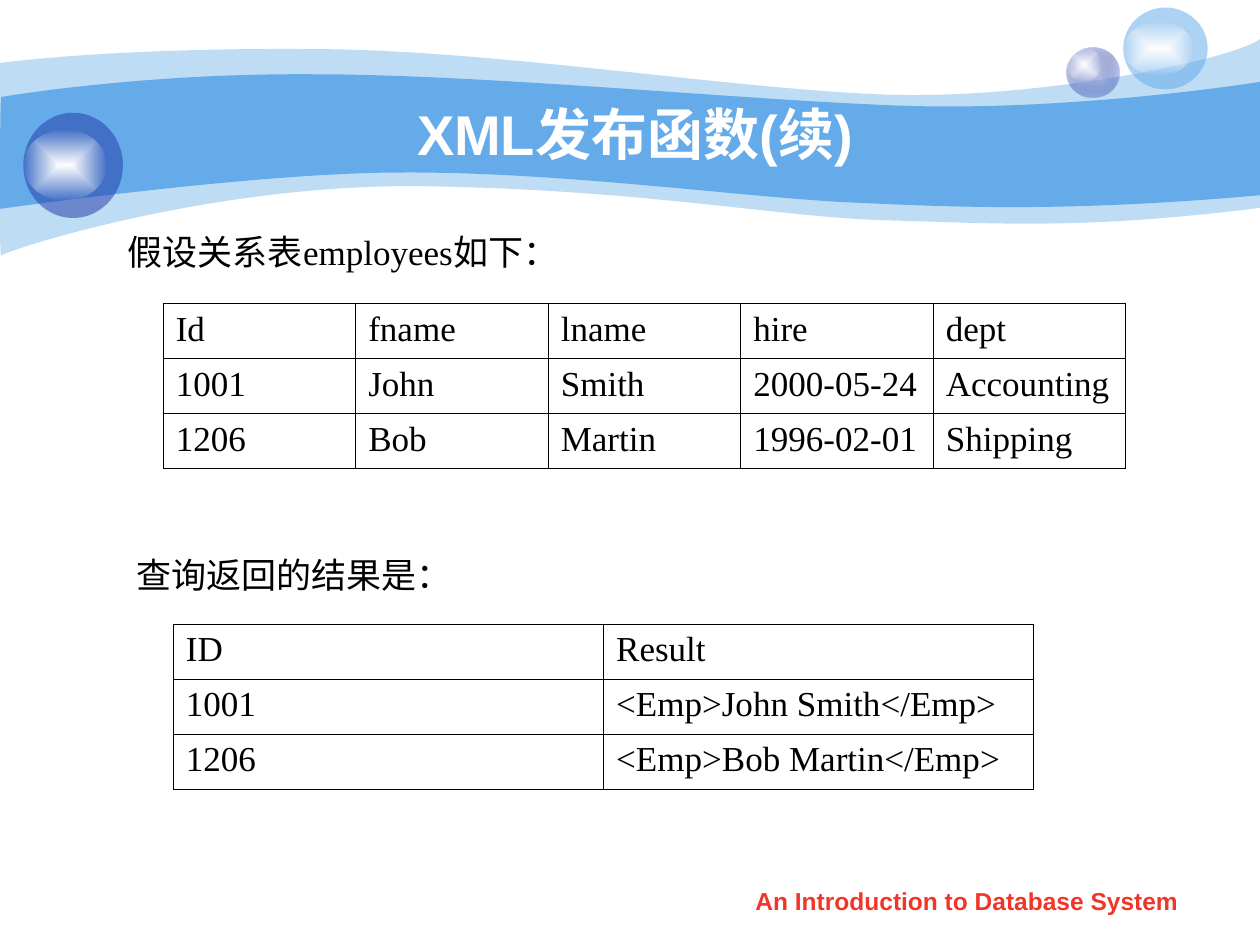
"""Build a slide on XML publishing functions with two query tables."""
from lxml.etree import SubElement
from pptx import Presentation
from pptx.dml.color import RGBColor
from pptx.enum.shapes import MSO_SHAPE
from pptx.enum.text import MSO_ANCHOR as Anchor, MSO_AUTO_SIZE as AutoSize, PP_ALIGN as Align
from pptx.oxml.ns import qn
from pptx.util import Inches, Pt

WHITE = RGBColor(0xFF, 0xFF, 0xFF)
CLEAR_WHITE = RGBColor(0xFE, 0xFE, 0xFE)
BLACK = RGBColor(0x00, 0x00, 0x00)
SKY = RGBColor(0x65, 0xAA, 0xE9)
NAVY = RGBColor(0x23, 0x3D, 0xA9)
LAVENDER = RGBColor(0xC6, 0xCC, 0xE8)
RED = RGBColor(0xF0, 0x36, 0x28)

presentation = Presentation()
presentation.slide_width, presentation.slide_height = Inches(10), Inches(7.5)
column = presentation.slide_width / 100
row = presentation.slide_height / 75
slide = presentation.slides.add_slide(presentation.slide_layouts[5])


def box(left, top, width, height):
    return int(left * column), int(top * row), int(width * column), int(height * row)


def paint(shape, color, opacity, center=None):
    shape.shadow.inherit = False
    shape.line.fill.background()
    if center is None:
        shape.fill.solid()
        shape.fill.fore_color.rgb = color
    else:
        shape.fill.gradient()
        for stop, stop_color in zip(shape.fill.gradient_stops, (center, color)):
            stop.color.rgb = stop_color
        gradient = shape.element.spPr.find(qn("a:gradFill"))
        gradient.remove(gradient.find(qn("a:lin")))
        focus = SubElement(gradient, qn("a:path"), {"path": "rect"})
        SubElement(focus, qn("a:fillToRect"), dict.fromkeys("ltrb", "50000"))
    if opacity < 100:
        outer_color = list(shape.element.spPr.iter(qn("a:srgbClr")))[-1]
        SubElement(outer_color, qn("a:alpha"), {"val": str(opacity * 1000)})


BANDS = [
    (41, (0, 5), [
        [(2.4, 4.7), (10.7, 3.8), (24.7, 3.9)],
        [(38.6, 3.9), (57.5, 7), (69.9, 7.5)],
        [(82.2, 8), (98, 4.7), (100, 3.1)],
        [(100, 16.5)],
        [(85.8, 18.3), (78.7, 17.7), (70.5, 17.5)],
        [(62.2, 17.3), (51.5, 15.1), (34.3, 14.8)],
        [(17.2, 14.4), (0.4, 19.9), (0.1, 20.3)],
        [(-0.1, 20.8), (0, 7.5), (0, 5)],
    ]),
    (100, (0.1, 7.7), [
        [(0.2, 7.7), (11, 5.8), (24.8, 5.9)],
        [(38.6, 5.9), (59.5, 8), (71.8, 8.4)],
        [(84.1, 8.8), (97.6, 6.9), (100, 6.5)],
        [(100, 15.5)],
        [(85.3, 16.8), (76.5, 16.5), (68.2, 16.1)],
        [(59.9, 15.8), (44.7, 13.6), (31.7, 13.7)],
        [(20.3, 13.7), (-0.2, 16.6), (-0.1, 16.6)],
        [(0, 16.6), (0, 7.7), (0.1, 7.7)],
    ]),
]
for opacity, start, segments in BANDS:
    points = [(x * column, y * row) for x, y in [start, *sum(segments, [])]]
    builder = slide.shapes.build_freeform(*points[0])
    builder.add_line_segments(points[1:], close=True)
    band = builder.convert_to_shape()
    lines = iter(list(band.element.spPr.iter(qn("a:lnTo"))))
    for segment in segments:
        first = next(lines)
        if len(segment) == 3:
            curve = first.makeelement(qn("a:cubicBezTo"))
            first.addprevious(curve)
            for line in (first, next(lines), next(lines)):
                curve.append(line[0])
                line.getparent().remove(line)
    paint(band, SKY, opacity)

BUBBLES = [
    [((84.65, 3.75, 4.2, 4), NAVY, 31, LAVENDER),
     ((84.65, 3.75, 2.8, 2.7), CLEAR_WHITE, 0, WHITE)],
    [((89.15, 0.6, 6.7, 6.5), SKY, 53, None),
     ((89.15, 1.7, 5.6, 4.3), CLEAR_WHITE, 0, WHITE)],
    [((1.85, 8.95, 7.9, 8.35), NAVY, 53, None),
     ((1.85, 10.3, 6.6, 5.6), CLEAR_WHITE, 0, WHITE)],
]
for ovals in BUBBLES:
    bubble = slide.shapes.add_group_shape()
    for area, color, opacity, center in ovals:
        paint(bubble.shapes.add_shape(MSO_SHAPE.OVAL, *box(*area)), color, opacity, center)

title = slide.shapes.title
title.element.getparent().append(title.element)
title.left, title.top, title.width, title.height = box(10, 7.5, 80.8, 6.2)
title.text_frame.text = "XML发布函数(续)"
title.text_frame.auto_size = AutoSize.NONE
title.text_frame.vertical_anchor = Anchor.MIDDLE
title_paragraph = title.text_frame.paragraphs[0]
title_paragraph.alignment = Align.CENTER
title_font = title_paragraph.font
title_font.name, title_font.size, title_font.bold = "Arial", Pt(32), True
title_font.color.rgb = WHITE

TABLES = [
    ("假设关系表employees如下：", (9.15, 17.8, 38.2, 4.4), (12.95, 24.1, 76.4, 13.1), [
        ("Id", "fname", "lname", "hire", "dept"),
        ("1001", "John", "Smith", "2000-05-24", "Accounting"),
        ("1206", "Bob", "Martin", "1996-02-01", "Shipping"),
    ]),
    ("查询返回的结果是：", (9.85, 43.4, 27, 4.4), (13.75, 49.55, 68.3, 13.1), [
        ("ID", "Result"),
        ("1001", "<Emp>John Smith</Emp>"),
        ("1206", "<Emp>Bob Martin</Emp>"),
    ]),
]
for caption, caption_area, table_area, records in TABLES:
    frame = slide.shapes.add_textbox(*box(*caption_area)).text_frame
    frame.text = caption
    frame.word_wrap = False
    frame.auto_size = AutoSize.SHAPE_TO_FIT_TEXT
    frame.vertical_anchor = Anchor.MIDDLE
    paragraphs = [frame.paragraphs[0]]

    table = slide.shapes.add_table(len(records), len(records[0]), *box(*table_area)).table
    table.first_row = table.horz_banding = False
    for cell, value in zip(table.iter_cells(), sum(records, ())):
        cell.text = value
        paragraphs.append(cell.text_frame.paragraphs[0])
        properties = cell._tc.get_or_add_tcPr()
        for side in ("a:lnL", "a:lnR", "a:lnT", "a:lnB"):
            border = SubElement(properties, qn(side), {"w": str(Pt(0.45))})
            fill = SubElement(border, qn("a:solidFill"))
            SubElement(fill, qn("a:srgbClr"), {"val": str(BLACK)})
        cell.fill.background()

    for paragraph in paragraphs:
        paragraph.font.name, paragraph.font.size = "Times New Roman", Pt(20)
        paragraph.font.color.rgb = BLACK

footer = slide.shapes.add_textbox(*box(57.05, 69.8, 39.4, 3.5)).text_frame
footer.text = "An Introduction to Database System"
footer.word_wrap = True
footer_paragraph = footer.paragraphs[0]
footer_paragraph.alignment = Align.CENTER
footer_font = footer_paragraph.font
footer_font.name, footer_font.size, footer_font.bold = "Arial", Pt(14), True
footer_font.color.rgb = RED

presentation.save("out.pptx")
